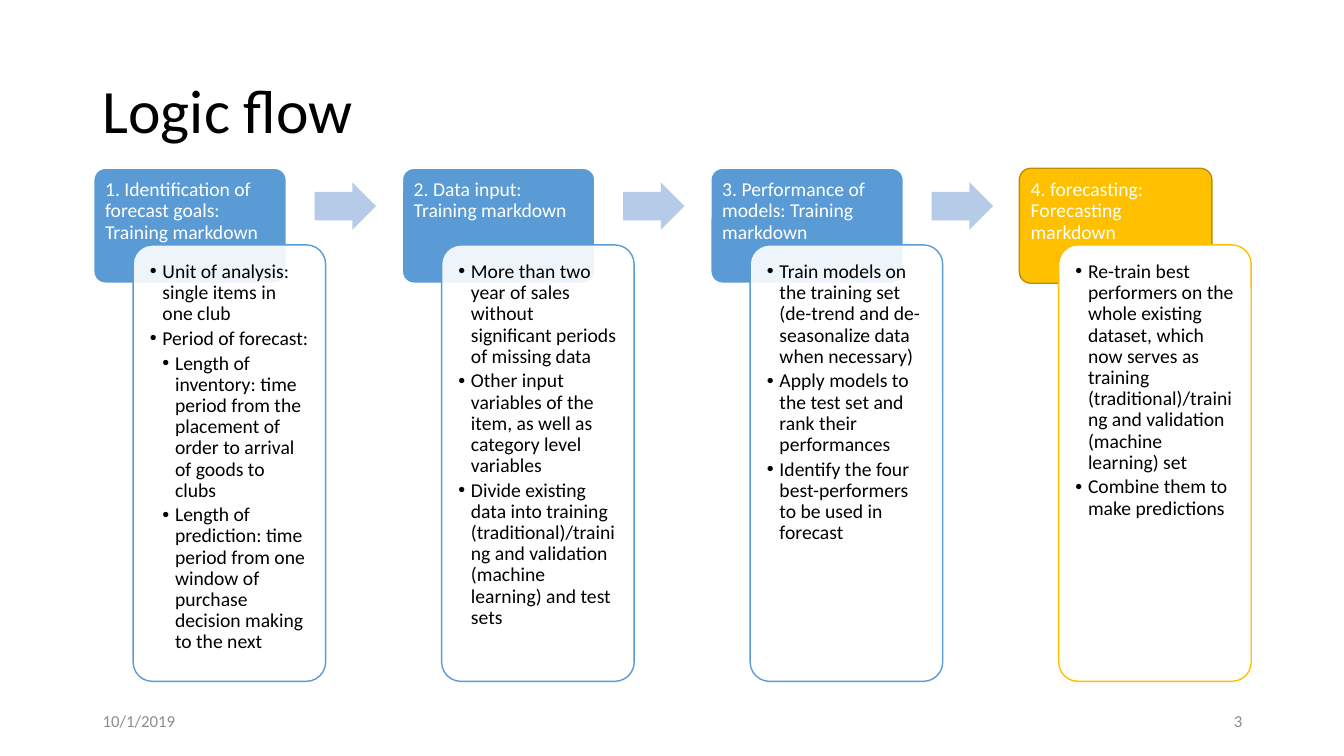
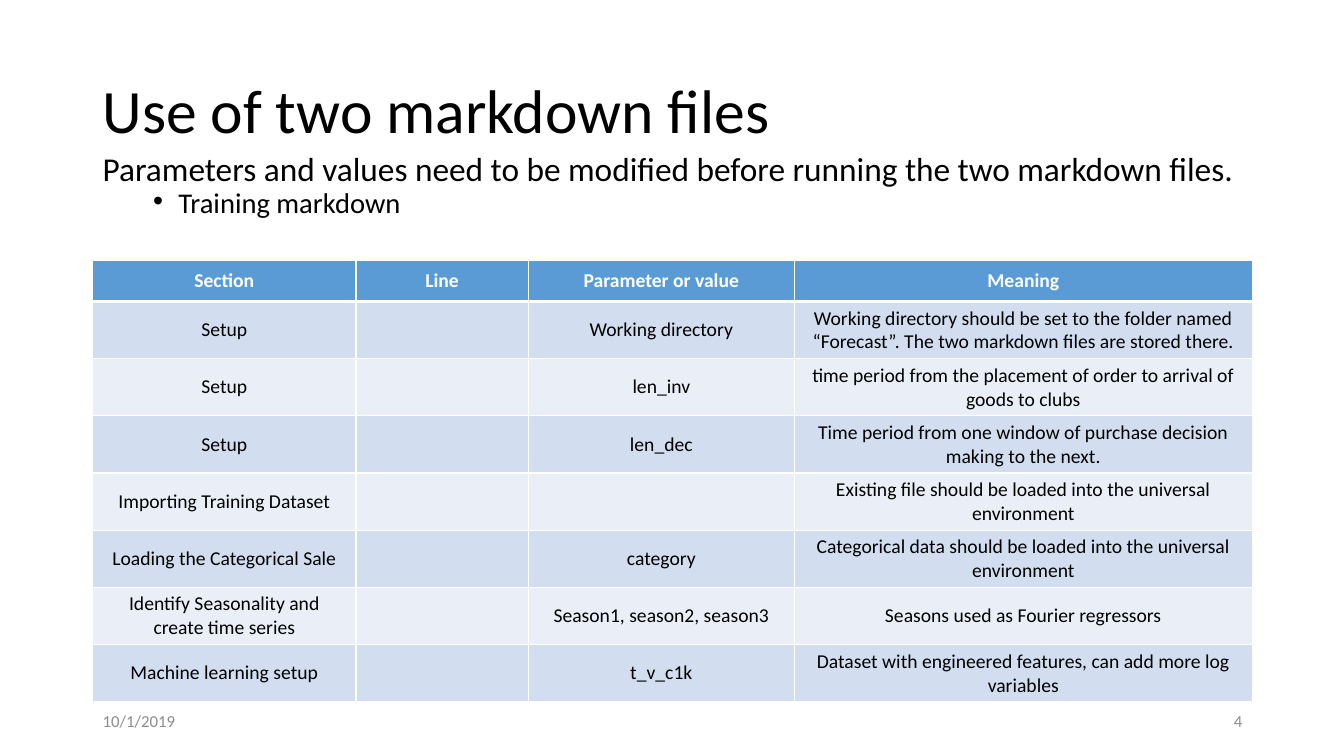
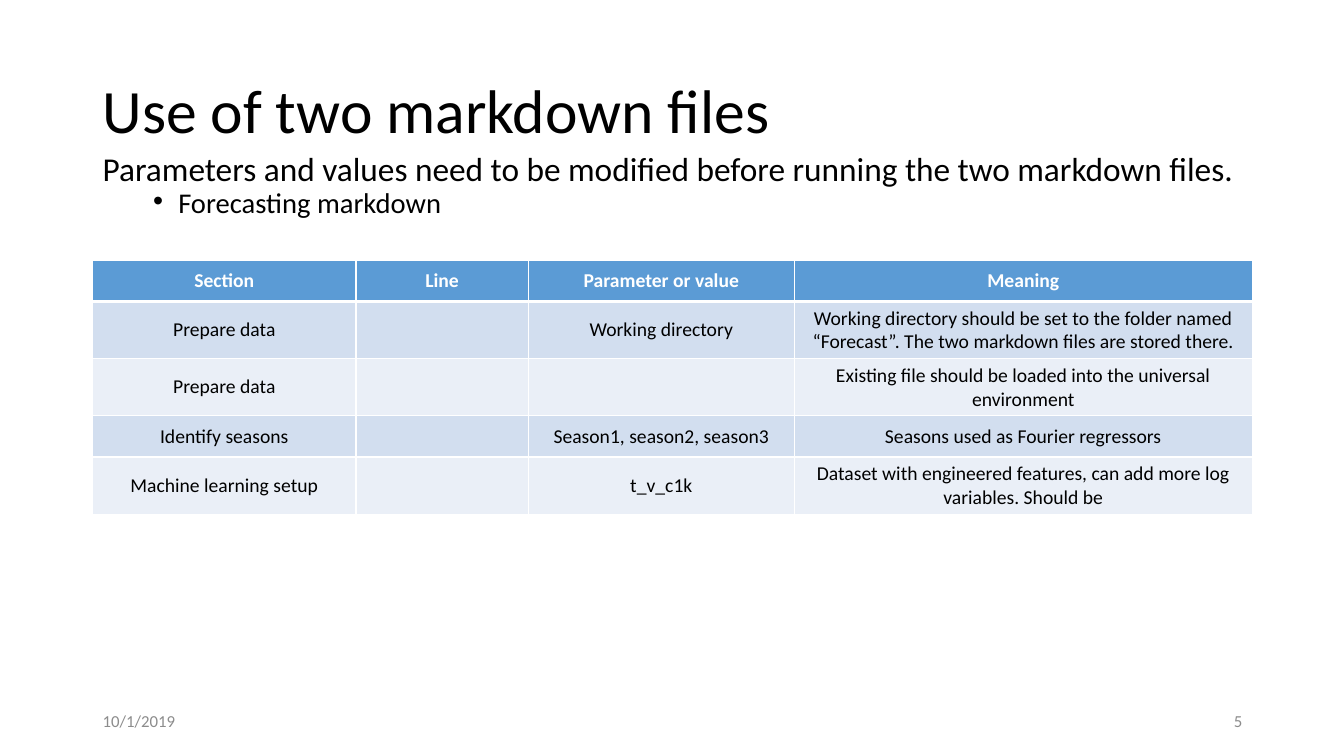
from dataclasses import dataclass

from lxml.etree import SubElement
from pptx import Presentation
from pptx.dml.color import RGBColor
from pptx.enum.shapes import MSO_SHAPE
from pptx.enum.text import MSO_ANCHOR, PP_ALIGN
from pptx.oxml.ns import qn
from pptx.util import Inches, Pt


@dataclass(frozen=True)
class Theme:
    """Colours, font and type sizes shared by all slides."""
    font: str = "Calibri"
    black: str = "000000"
    white: str = "FFFFFF"
    grey: str = "8C8C8C"
    blue: str = "5B9BD5"
    arrow: str = "B5CBE7"
    gold: str = "FFC000"
    gold_edge: str = "BD8E00"
    bands: tuple = ("EAEFF7", "D2DEEF")
    title: float = 44
    lead: float = 23.8
    sub: float = 20.4
    text: float = 14
    footer: float = 12


T = Theme()
LEFT, WIDTH = 0.92, 11.5
DATE = "10/1/2019"
LEAD = "Parameters and values need to be modified before running the two markdown files."
COLUMNS = (2.61, 1.71, 2.64, 4.54)
ROW_HEIGHT = 0.41
HEADER = ("Section", "Line", "Parameter or value", "Meaning")
FOLDER = ("Working directory should be set to the folder named “Forecast”. "
          "The two markdown files are stored there.")
LOADED = "Existing file should be loaded into the universal environment"
SEASONS = ("Season1, season2, season3", "Seasons used as Fourier regressors")
FEATURES = "Dataset with engineered features, can add more log variables"

STEPS = [
    ("1. Identification of forecast goals: Training markdown", [
        (1, "Unit of analysis: single items in one club"),
        (1, "Period of forecast:"),
        (2, "Length of inventory: time period from the placement of order "
            "to arrival of goods to clubs"),
        (2, "Length of prediction: time period from one window of purchase "
            "decision making to the next")]),
    ("2. Data input: Training markdown", [
        (1, "More than two year of sales without significant periods of missing data"),
        (1, "Other input variables of the item, as well as category level variables"),
        (1, "Divide existing data into training (traditional)/training and "
            "validation (machine learning) and test sets")]),
    ("3. Performance of models: Training markdown", [
        (1, "Train models on the training set (de-trend and de-seasonalize "
            "data when necessary)"),
        (1, "Apply models to the test set and rank their performances"),
        (1, "Identify the four best-performers to be used in forecast")]),
    ("4. forecasting: Forecasting markdown", [
        (1, "Re-train best performers on the whole existing dataset, which now "
            "serves as training (traditional)/training and validation "
            "(machine learning) set"),
        (1, "Combine them to make predictions")]),
]

TRAINING = [
    ("Setup", "", "Working directory", FOLDER),
    ("Setup", "", "len_inv",
     "time period from the placement of order to arrival of goods to clubs"),
    ("Setup", "", "len_dec",
     "Time period from one window of purchase decision making to the next."),
    ("Importing Training Dataset", "", "", LOADED),
    ("Loading the Categorical Sale", "", "category",
     "Categorical data should be loaded into the universal environment"),
    ("Identify Seasonality and create time series", "", *SEASONS),
    ("Machine learning setup", "", "t_v_c1k", FEATURES),
]
FORECASTING = [
    ("Prepare data", "", "Working directory", FOLDER),
    ("Prepare data", "", "", LOADED),
    ("Identify seasons", "", *SEASONS),
    ("Machine learning setup", "", "t_v_c1k", FEATURES + ". Should be"),
]


def rgb(color):
    """Turn a hex string into a colour."""
    return RGBColor.from_string(color)


def apply(obj, **values):
    """Set each named attribute on an object."""
    for name, value in values.items():
        setattr(obj, name, value)


def box(*lengths):
    """Convert left, top, width and height to inches."""
    return [Inches(n) for n in lengths]


def write(p, text, size, color=T.black, bold=False, **layout):
    """Write one formatted run into a paragraph."""
    r = p.add_run()
    r.text = text
    apply(r.font, name=T.font, size=Pt(size), bold=bold)
    r.font.color.rgb = rgb(color)
    apply(p, **layout)


def bullet(p, margin, hang):
    """Give a paragraph a round bullet with a hanging indent."""
    pPr = p._p.get_or_add_pPr()
    pPr.set("marL", str(Inches(margin)))
    pPr.set("indent", str(-Inches(hang)))
    SubElement(pPr, qn("a:buFont")).set("typeface", "Arial")
    SubElement(pPr, qn("a:buChar")).set("char", "•")


def add_text(s, at, anchor=MSO_ANCHOR.MIDDLE):
    """Add a wrapping text box and return its frame."""
    tf = s.shapes.add_textbox(*box(*at)).text_frame
    apply(tf, word_wrap=True, vertical_anchor=anchor)
    return tf


def add_box(s, kind, at, fill, line=None, adjustments=(0.1,), alpha=None):
    """Add a flat preset shape."""
    sp = s.shapes.add_shape(kind, *box(*at))
    sp.shadow.inherit = False
    for i, value in enumerate(adjustments):
        sp.adjustments[i] = value
    sp.fill.solid()
    sp.fill.fore_color.rgb = rgb(fill)
    if alpha:
        color = sp.fill._xPr.find(qn("a:solidFill"))[0]
        SubElement(color, qn("a:alpha")).set("val", str(alpha * 1000))
    if line:
        sp.line.color.rgb = rgb(line)
        sp.line.width = Pt(1)
    else:
        sp.line.fill.background()
    return sp


def frame_of(sp, side, bottom):
    """Prepare the text frame of a shape for top-left text."""
    tf = sp.text_frame
    apply(tf, word_wrap=True, vertical_anchor=MSO_ANCHOR.TOP,
          margin_left=Inches(side), margin_right=Inches(side),
          margin_top=Inches(side), margin_bottom=Inches(bottom))
    return tf


def add_slide(prs, title, number):
    """Add a slide with its title, date and number."""
    s = prs.slides.add_slide(prs.slide_layouts[6])
    tf = add_text(s, (LEFT, 0.4, WIDTH, 1.45))
    write(tf.paragraphs[0], title, T.title, line_spacing=0.9)
    for x, text, align in ((LEFT, DATE, PP_ALIGN.LEFT),
                           (LEFT + WIDTH - 3, str(number), PP_ALIGN.RIGHT)):
        tf = add_text(s, (x, 6.95, 3, 0.4))
        write(tf.paragraphs[0], text, T.footer, T.grey, alignment=align)
    return s


def add_step(s, left, top, heading, points, last):
    """Place one step: heading, overlapping card and arrow to the next."""
    fill, edge = (T.gold, T.gold_edge) if last else (T.blue, T.white)
    sp = add_box(s, MSO_SHAPE.ROUNDED_RECTANGLE, (left, top, 1.91, 1.14), fill, edge)
    p = frame_of(sp, 0.08, 0.06).paragraphs[0]
    write(p, heading, T.text, T.white, line_spacing=0.9, alignment=PP_ALIGN.LEFT)

    card = (left + 0.39, top + 0.76, 1.91, 4.33)
    sp = add_box(s, MSO_SHAPE.ROUNDED_RECTANGLE, card, T.white, fill,
                 alpha=None if last else 90)
    tf = frame_of(sp, 0.11, 0.11)
    for i, (level, text) in enumerate(points):
        p = tf.add_paragraph() if i else tf.paragraphs[0]
        write(p, text, T.text, line_spacing=0.9, space_after=Pt(2.4),
              alignment=PP_ALIGN.LEFT, level=level)
        bullet(p, 0.125 * level, 0.125)

    if not last:
        add_box(s, MSO_SHAPE.RIGHT_ARROW, (left + 2.19, top + 0.14, 0.61, 0.47),
                T.arrow, adjustments=(0.6, 0.5))


def flow_slide(prs, number):
    """Build the slide with the row of steps."""
    s = add_slide(prs, "Logic flow", number)
    for i, (heading, points) in enumerate(STEPS):
        add_step(s, 0.93 + 3.06 * i, 1.67, heading, points, i == len(STEPS) - 1)


def add_borders(cell, row):
    """Draw white cell borders, thicker under the header row."""
    thick = {(0, "B"), (1, "T")}
    tcPr = cell._tc.get_or_add_tcPr()
    for i, side in enumerate("LRTB"):
        ln = SubElement(tcPr, qn("a:ln" + side))
        ln.set("w", str(Pt(3 if (row, side) in thick else 1)))
        fill = SubElement(ln, qn("a:solidFill"))
        SubElement(fill, qn("a:srgbClr")).set("val", T.white)
        tcPr.insert(i, ln)


def add_parameters(s, left, top, rows):
    """Place the banded parameter table."""
    rows = [HEADER, *rows]
    at = box(left, top, sum(COLUMNS), ROW_HEIGHT * len(rows))
    table = s.shapes.add_table(len(rows), len(COLUMNS), *at).table
    for column, width in zip(table.columns, COLUMNS):
        column.width = Inches(width)
    for i, row in enumerate(rows):
        table.rows[i].height = Inches(ROW_HEIGHT)
        for j, text in enumerate(row):
            cell = table.cell(i, j)
            cell.vertical_anchor = MSO_ANCHOR.MIDDLE
            cell.fill.solid()
            cell.fill.fore_color.rgb = rgb(T.bands[i % 2] if i else T.blue)
            add_borders(cell, i)
            if text:
                write(cell.text_frame.paragraphs[0], text, T.text,
                      T.black if i else T.white, bold=i == 0,
                      alignment=PP_ALIGN.CENTER)


def table_slide(prs, number, topic, rows):
    """Build a slide that lists the parameters of one file."""
    s = add_slide(prs, "Use of two markdown files", number)
    tf = add_text(s, (LEFT, 1.53, WIDTH, 0.97), MSO_ANCHOR.TOP)
    write(tf.paragraphs[0], LEAD, T.lead, line_spacing=0.7, space_before=Pt(10))
    p = tf.add_paragraph()
    write(p, topic, T.sub, line_spacing=0.7, space_before=Pt(5), level=1)
    bullet(p, 0.75, 0.25)
    add_parameters(s, LEFT, 2.58, rows)


def main():
    """Build the deck and save it."""
    prs = Presentation()
    apply(prs, slide_width=Inches(13.33), slide_height=Inches(7.5))
    flow_slide(prs, 3)
    table_slide(prs, 4, "Training markdown", TRAINING)
    table_slide(prs, 5, "Forecasting markdown", FORECASTING)
    prs.save("out.pptx")


main()
